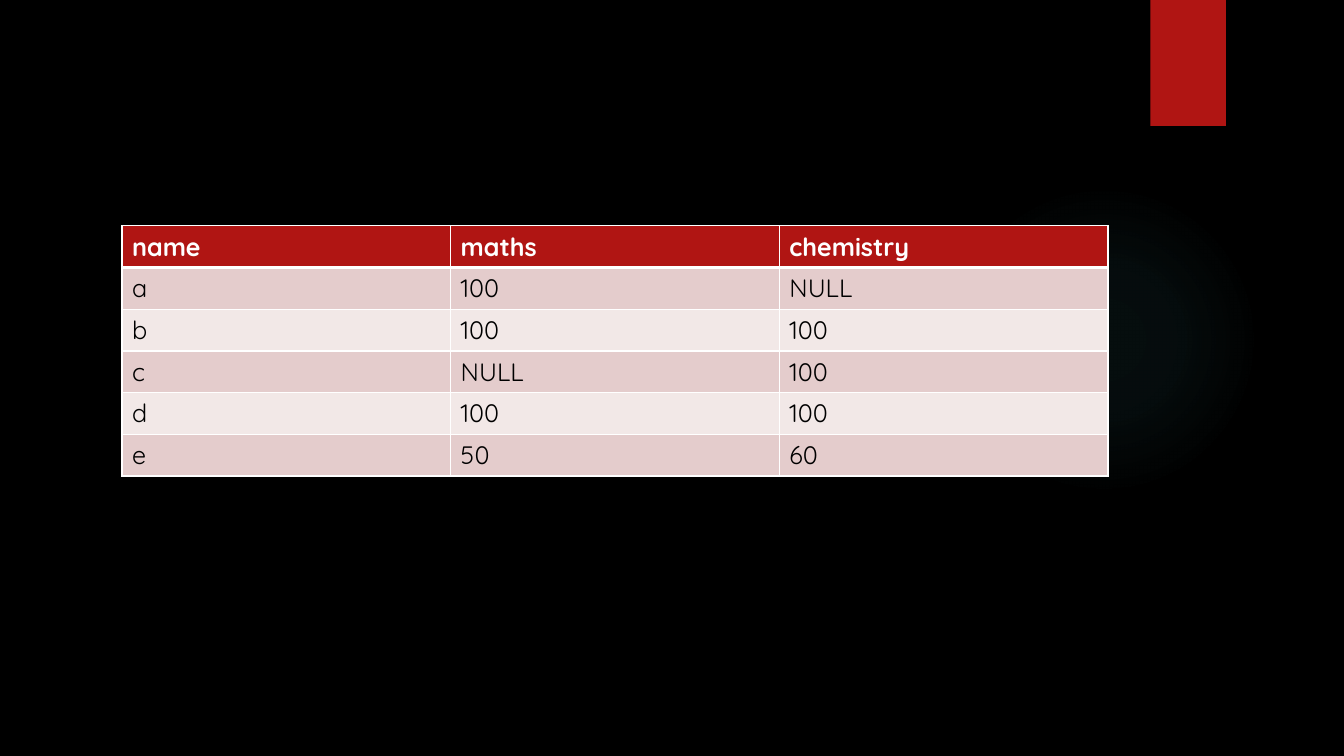
from typing import NamedTuple

from pptx import Presentation
from pptx.dml.color import RGBColor as Rgb
from pptx.enum.shapes import MSO_SHAPE as Shape
from pptx.oxml import parse_xml
from pptx.oxml.ns import nsdecls, qn
from pptx.util import Inches, Pt

COLORS = {
    "background": "000000",
    "accent": "B01513",
    "glow": "50B9C1",
    "odd_row": "E4CCCC",
    "even_row": "F2E8E7",
    "line": "FFFFFF",
    "header_text": "FFFFFF",
    "body_text": "000000",
}
FONT = {"name": "Quicksand", "size": Pt(18)}


class Decoration(NamedTuple):
    kind: Shape
    left: float
    top: float
    width: float
    height: float


class RowStyle(NamedTuple):
    fill: str
    text: str
    bold: bool
    top: int
    bottom: int


class GlowStop(NamedTuple):
    position: int
    opacity: int


GLOW = Decoration(Shape.OVAL, 9.41, 1.83, 3.08, 3.08)
RIBBON = Decoration(Shape.RECTANGLE, 11.41, 0, 0.75, 1.25)
GLOW_STOPS = [GlowStop(0, 7), GlowStop(36, 6), GlowStop(69, 0)]
MARKS = [
    ("name", "maths", "chemistry"),
    ("a", "100", "NULL"),
    ("b", "100", "100"),
    ("c", "NULL", "100"),
    ("d", "100", "100"),
    ("e", "50", "60"),
]
COLUMN_WIDTH, ROW_HEIGHT = 3.26, 0.41


def rgb(key: str) -> Rgb:
    return Rgb.from_string(COLORS[key])


def add_decoration(slide, item: Decoration):
    box = [Inches(length) for length in item[1:]]
    shape = slide.shapes.add_shape(item.kind, *box)
    shape.shadow.inherit = False
    shape.line.fill.background()
    return shape


def fill_radially(shape, color: str, stops: list[GlowStop]) -> None:
    stop_xml = "".join(
        f'<a:gs pos="{stop.position * 1000}"><a:srgbClr val="{COLORS[color]}">'
        f'<a:alpha val="{stop.opacity * 1000}"/></a:srgbClr></a:gs>'
        for stop in stops
    )
    gradient = parse_xml(
        f'<a:gradFill {nsdecls("a")}><a:gsLst>{stop_xml}</a:gsLst><a:path path="circle">'
        '<a:fillToRect l="50000" t="50000" r="50000" b="50000"/></a:path></a:gradFill>'
    )
    shape.fill.background()
    properties = shape._element.spPr
    properties.replace(properties.find(qn("a:noFill")), gradient)


def row_style(row: int) -> RowStyle:
    if row == 0:
        return RowStyle("accent", "header_text", True, 1, 3)
    band = "odd_row" if row % 2 else "even_row"
    return RowStyle(band, "body_text", False, 3 if row == 1 else 1, 1)


def style_cell(cell, text: str, style: RowStyle) -> None:
    properties = cell._tc.get_or_add_tcPr()
    borders = {"L": 1, "R": 1, "T": style.top, "B": style.bottom}
    for side, width in borders.items():
        properties.append(parse_xml(
            f'<a:ln{side} {nsdecls("a")} w="{Pt(width)}"><a:solidFill>'
            f'<a:srgbClr val="{COLORS["line"]}"/></a:solidFill></a:ln{side}>'
        ))
    cell.fill.solid()
    cell.fill.fore_color.rgb = rgb(style.fill)
    run = cell.text_frame.paragraphs[0].add_run()
    run.text = text
    for attribute, value in (FONT | {"bold": style.bold}).items():
        setattr(run.font, attribute, value)
    run.font.color.rgb = rgb(style.text)


def add_marks(slide, left: float, top: float) -> None:
    rows, columns = len(MARKS), len(MARKS[0])
    table = slide.shapes.add_table(
        rows, columns, Inches(left), Inches(top),
        Inches(columns * COLUMN_WIDTH), Inches(rows * ROW_HEIGHT),
    ).table
    for row, values in enumerate(MARKS):
        for column, text in enumerate(values):
            style_cell(table.cell(row, column), text, row_style(row))


deck = Presentation()
deck.slide_width, deck.slide_height = Inches(13.33), Inches(7.5)
slide = deck.slides.add_slide(deck.slide_layouts[6])

# Background with glow and ribbon
slide.background.fill.solid()
slide.background.fill.fore_color.rgb = rgb("background")
fill_radially(add_decoration(slide, GLOW), "glow", GLOW_STOPS)
ribbon = add_decoration(slide, RIBBON)
ribbon.fill.solid()
ribbon.fill.fore_color.rgb = rgb("accent")

# Table of marks
add_marks(slide, 1.21, 2.24)

deck.save("out.pptx")
